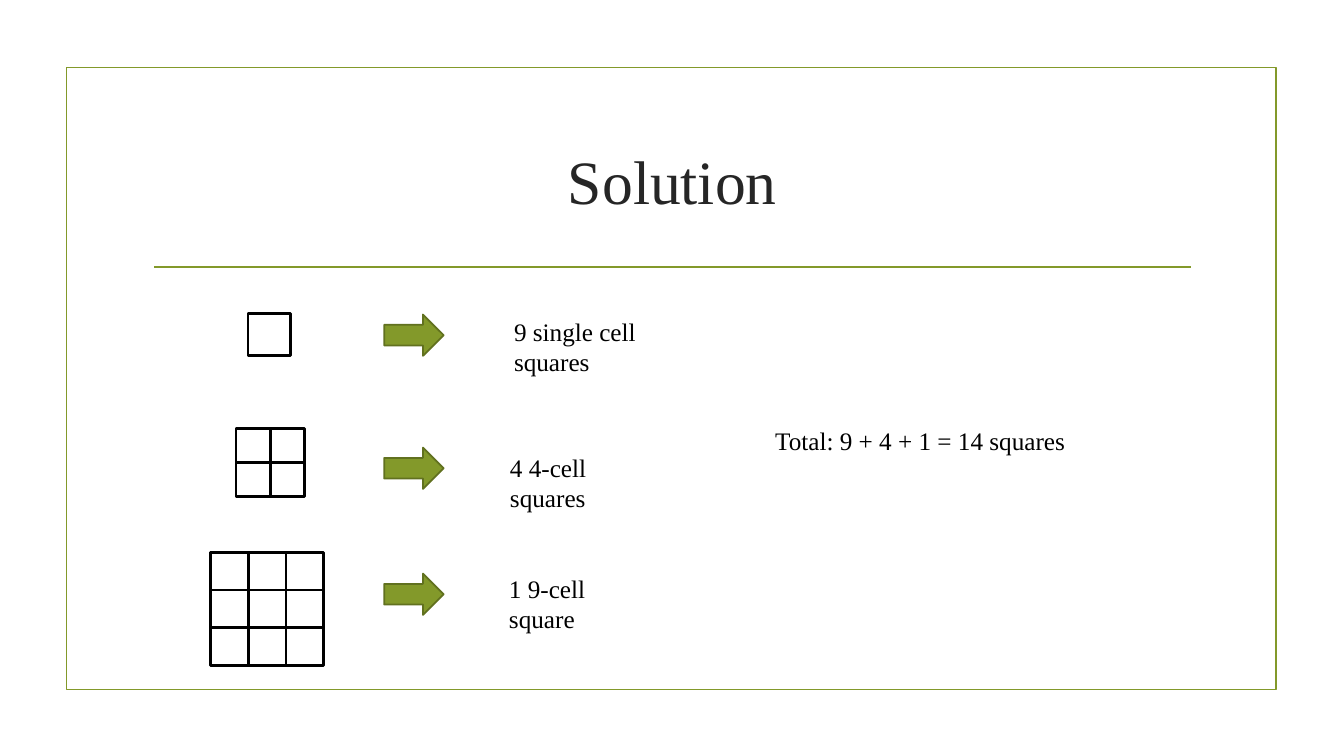
"""Build the Solution slide that counts the squares in a three by three grid."""
import pptx
import pptx.dml.color
import pptx.enum.shapes
import pptx.enum.text
import pptx.oxml.ns
import pptx.util
from lxml import etree

Inches = pptx.util.Inches
SHAPE = pptx.enum.shapes.MSO_SHAPE
FONT = "Times New Roman"
GREEN, DARK_GREEN, BLACK, GREY = "83992A", "61711F", "000000", "262626"
TITLE = "Solution"
TOTAL = ("Total: 9 + 4 + 1 = 14 squares", 7.59, 4.17, 3.3)
ROWS = [
    {"cells": 1, "grid": (2.46, 3.11, 0.42), "arrow_top": 3.12,
     "label": ("9 single cell squares", 5, 3.09, 1.5)},
    {"cells": 2, "grid": (2.34, 4.25, 0.68), "arrow_top": 4.44,
     "label": ("4 4-cell squares", 4.96, 4.44, 1.5)},
    {"cells": 3, "grid": (2.09, 5.48, 1.12), "arrow_top": 5.69,
     "label": ("1 9-cell square", 4.95, 5.64, 1.5)},
]


def rgb(value):
    return pptx.dml.color.RGBColor.from_string(value)


def add_box(s, kind, left, top, width, height, line, weight, fill=None):
    sp = s.shapes.add_shape(kind, Inches(left), Inches(top), Inches(width), Inches(height))
    sp.shadow.inherit = False
    if fill:
        sp.fill.solid()
        sp.fill.fore_color.rgb = rgb(fill)
    else:
        sp.fill.background()
    sp.line.color.rgb = rgb(line)
    sp.line.width = pptx.util.Pt(weight)
    return sp


def add_line(s, x1, y1, x2, y2, color, weight):
    line = s.shapes.add_connector(pptx.enum.shapes.MSO_CONNECTOR.STRAIGHT,
                                  Inches(x1), Inches(y1), Inches(x2), Inches(y2))
    line.line.color.rgb = rgb(color)
    line.line.width = pptx.util.Pt(weight)
    sp_pr = line._element.spPr
    etree.SubElement(sp_pr, pptx.oxml.ns.qn("a:effectLst"))
    return line


def add_run(p, text, size, color):
    r = p.add_run()
    r.text = text
    r.font.name = FONT
    r.font.size = pptx.util.Pt(size)
    r.font.color.rgb = rgb(color)


def add_label(s, text, left, top, width):
    tf = s.shapes.add_textbox(Inches(left), Inches(top), Inches(width), Inches(0.4)).text_frame
    tf.word_wrap = True
    add_run(tf.paragraphs[0], text, 18, BLACK)


def add_grid(s, cells, left, top, side):
    square = add_box(s, SHAPE.RECTANGLE, left, top, side, side, BLACK, 2)
    for i in range(1, cells):
        step = side * i / cells
        across = add_line(s, left, top + step, left + side, top + step, BLACK, 2)
        down = add_line(s, left + step, top, left + step, top + side, BLACK, 2)
        if 2 * i == cells:
            across.begin_connect(square, 1)
            across.end_connect(square, 3)
            down.begin_connect(square, 0)
            down.end_connect(square, 2)


def main():
    prs = pptx.Presentation()
    prs.slide_width, prs.slide_height = Inches(13.33), Inches(7.5)
    s = prs.slides.add_slide(prs.slide_layouts[5])
    add_box(s, SHAPE.RECTANGLE, 0.66, 0.67, 12, 6.17, GREEN, 1.25)
    add_line(s, 1.53, 2.65, 11.81, 2.65, GREEN, 1.25)

    title = s.shapes.title
    title.left, title.top = Inches(1.42), Inches(1.07)
    title.width, title.height = Inches(10.5), Inches(1.43)
    tf = title.text_frame
    tf.vertical_anchor = pptx.enum.text.MSO_ANCHOR.MIDDLE
    p = tf.paragraphs[0]
    p.alignment = pptx.enum.text.PP_ALIGN.CENTER
    add_run(p, TITLE, 44, GREY)

    for row in ROWS:
        add_grid(s, row["cells"], *row["grid"])
        add_box(s, SHAPE.RIGHT_ARROW, 3.81, row["arrow_top"], 0.59, 0.41,
                DARK_GREEN, 1.25, GREEN)
        add_label(s, *row["label"])
    add_label(s, *TOTAL)
    prs.save("out.pptx")


if __name__ == "__main__":
    main()
